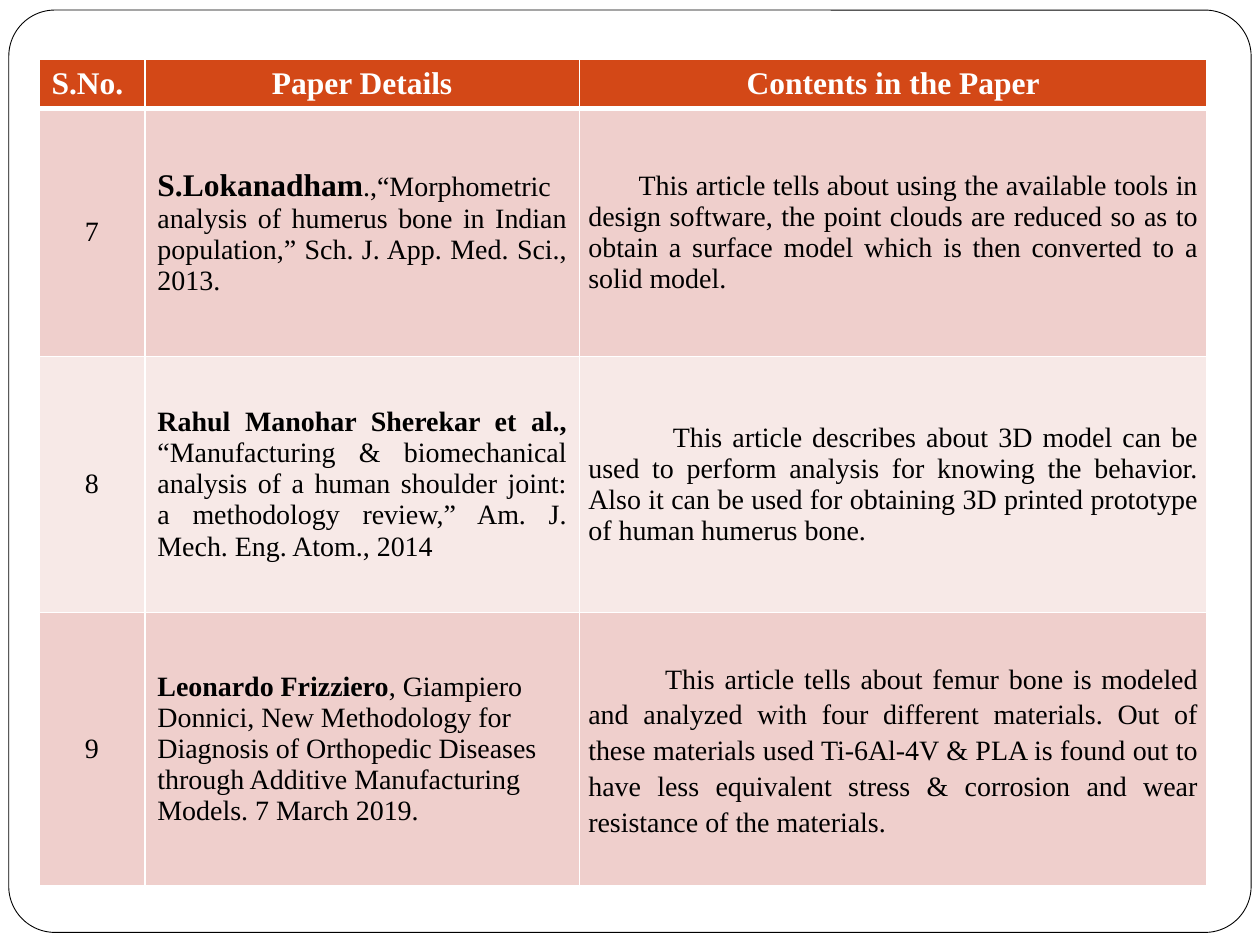
"""Build a literature review slide with a framed table of three papers."""
import lxml.etree
import pptx
import pptx.dml.color
import pptx.enum.shapes
import pptx.enum.text
import pptx.oxml.ns
import pptx.util

Inches, Pt = pptx.util.Inches, pptx.util.Pt
RGBColor = pptx.dml.color.RGBColor
ALIGN = pptx.enum.text.PP_ALIGN
qn = pptx.oxml.ns.qn

WHITE = RGBColor(0xFF, 0xFF, 0xFF)
BLACK = RGBColor(0, 0, 0)
ORANGE = RGBColor(0xD3, 0x48, 0x17)
ROSE = RGBColor(0xEF, 0xCF, 0xCC)
PALE_ROSE = RGBColor(0xF7, 0xE9, 0xE7)

HEADINGS = [("S.No.", ALIGN.LEFT), ("Paper Details", ALIGN.CENTER),
            ("Contents in the Paper", ALIGN.CENTER)]
PAPERS = [
    {"number": "7", "author": "S.Lokanadham", "author_size": 18,
     "citation": ".,“Morphometric analysis of humerus bone in Indian population,” "
                 "Sch. J. App. Med. Sci., 2013.",
     "align": ALIGN.JUSTIFY, "indent": 0.4, "spacing": {},
     "summary": "This article tells about using the available tools in design software, "
                "the point clouds are reduced so as to obtain a surface model which is "
                "then converted to a solid model."},
    {"number": "8", "author": "Rahul Manohar Sherekar et al., ", "author_size": 16,
     "citation": "“Manufacturing & biomechanical analysis of a human shoulder joint: "
                 "a methodology review,” Am. J. Mech. Eng. Atom., 2014",
     "align": ALIGN.JUSTIFY, "indent": 0.67, "spacing": {},
     "summary": "This article describes about 3D model can be used to perform analysis "
                "for knowing the behavior. Also it can be used for obtaining 3D printed "
                "prototype of human humerus bone."},
    {"number": "9", "author": "Leonardo Frizziero", "author_size": 16,
     "citation": ", Giampiero Donnici, New Methodology for Diagnosis of Orthopedic "
                 "Diseases through Additive Manufacturing Models. 7 March 2019.",
     "align": ALIGN.LEFT, "indent": 0.61,
     "spacing": {"line_spacing": 1.15, "space_after": Pt(3)},
     "summary": "This article tells about femur bone is modeled and analyzed with four "
                "different materials. Out of these materials used Ti-6Al-4V & PLA is "
                "found out to have less equivalent stress & corrosion and wear "
                "resistance of the materials."},
]


def apply(target, values):
    for attribute, value in values.items():
        setattr(target, attribute, value)


class ReviewSlide:
    font_name = "Times New Roman"
    summary_margins = {"margin_left": Inches(0.07), "margin_right": Inches(0.07),
                       "margin_top": 0, "margin_bottom": 0}

    def __init__(self, slide):
        self.slide = slide

    def frame(self, left, top, width, height):
        border = self.slide.shapes.add_shape(
            pptx.enum.shapes.MSO_SHAPE.ROUNDED_RECTANGLE,
            Inches(left), Inches(top), Inches(width), Inches(height))
        border.adjustments[0] = 0.05
        border.shadow.inherit = False
        border.fill.solid()
        border.fill.fore_color.rgb = WHITE
        border.line.color.rgb = BLACK
        border.line.width = Pt(0.5)

    def table(self, left, top, widths, heights):
        grid = self.slide.shapes.add_table(
            len(heights), len(widths), Inches(left), Inches(top),
            Inches(sum(widths)), Inches(sum(heights))).table
        for column, width in zip(grid.columns, widths):
            column.width = Inches(width)
        for row, height in zip(grid.rows, heights):
            row.height = Inches(height)
        return grid

    def borders(self, cell, top, bottom):
        properties = cell._tc.get_or_add_tcPr()
        for side, width in (("L", 1), ("R", 1), ("T", top), ("B", bottom)):
            line = lxml.etree.SubElement(properties, qn(f"a:ln{side}"), w=str(Pt(width)))
            fill = lxml.etree.SubElement(line, qn("a:solidFill"))
            lxml.etree.SubElement(fill, qn("a:srgbClr"), val=str(WHITE))

    def cell(self, cell, runs, fill, align, color=BLACK, top=1, bottom=1,
             margins={}, spacing={}, indent=0):
        self.borders(cell, top, bottom)
        cell.fill.solid()
        cell.fill.fore_color.rgb = fill
        apply(cell, {"vertical_anchor": pptx.enum.text.MSO_ANCHOR.MIDDLE, **margins})
        paragraph = cell.text_frame.paragraphs[0]
        apply(paragraph, {"alignment": align, **spacing})
        if indent:
            paragraph._p.get_or_add_pPr().set("indent", str(Inches(indent)))
        for text, size, bold in runs:
            run = paragraph.add_run()
            run.text = text
            apply(run.font, {"name": self.font_name, "size": Pt(size), "bold": bold})
            run.font.color.rgb = color


def main():
    deck = pptx.Presentation()
    deck.slide_width, deck.slide_height = Inches(10), Inches(7.5)
    review = ReviewSlide(deck.slides.add_slide(deck.slide_layouts[6]))
    review.frame(0.07, 0.08, 9.86, 7.32)
    grid = review.table(0.31, 0.47, [0.84, 3.45, 4.98], [0.39, 1.97, 2.03, 2.17])

    for column, (heading, align) in enumerate(HEADINGS):
        review.cell(grid.cell(0, column), [(heading, 18, True)], ORANGE, align,
                    color=WHITE, bottom=3)

    for row, paper in enumerate(PAPERS, start=1):
        band = {"fill": ROSE if row % 2 else PALE_ROSE, "top": 3 if row == 1 else 1}
        review.cell(grid.cell(row, 0), [(paper["number"], 16, False)],
                    align=ALIGN.CENTER, **band)
        review.cell(grid.cell(row, 1),
                    [(paper["author"], paper["author_size"], True),
                     (paper["citation"], 16, False)],
                    align=paper["align"], **band)
        review.cell(grid.cell(row, 2), [(paper["summary"], 16, False)],
                    align=ALIGN.JUSTIFY, margins=review.summary_margins,
                    spacing=paper["spacing"], indent=paper["indent"], **band)

    deck.save("out.pptx")


if __name__ == "__main__":
    main()
